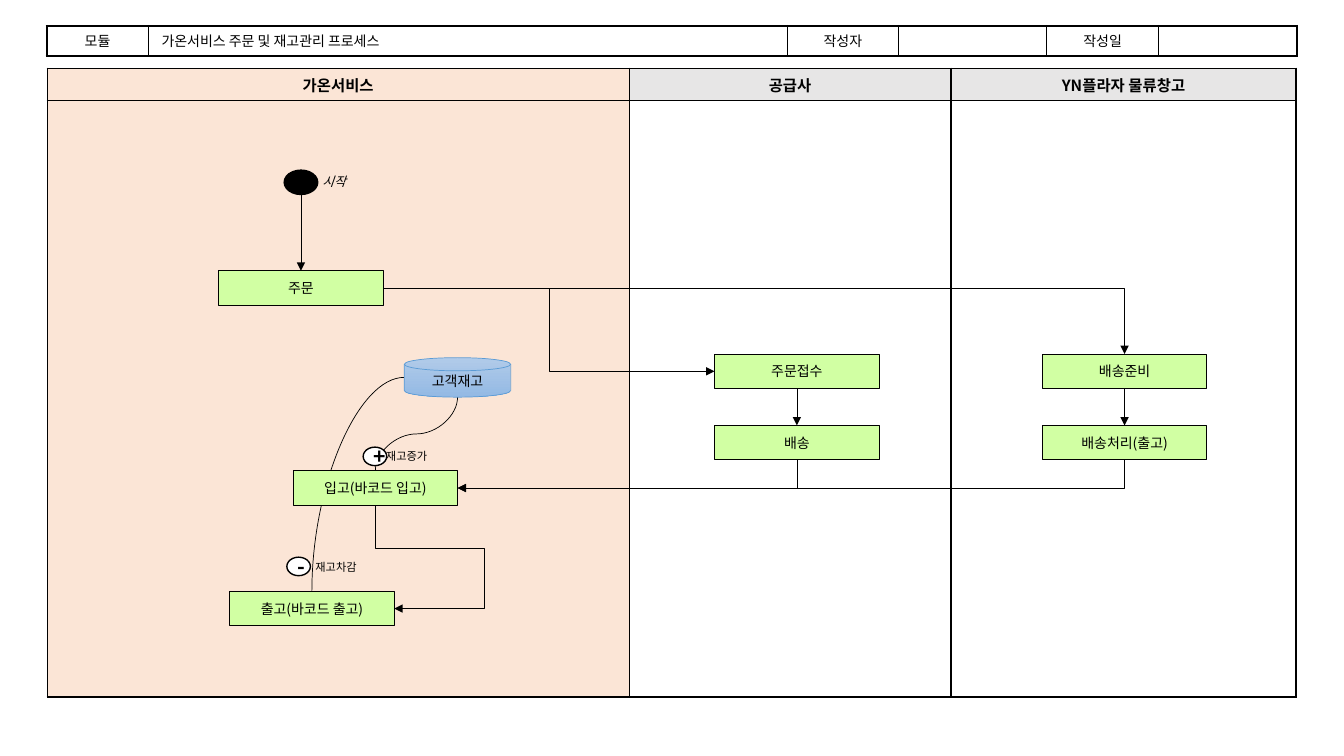
from dataclasses import dataclass

from lxml import etree
from pptx import Presentation
from pptx.dml.color import RGBColor
from pptx.enum.shapes import MSO_CONNECTOR, MSO_SHAPE
from pptx.enum.text import MSO_ANCHOR, PP_ALIGN
from pptx.oxml.ns import qn
from pptx.util import Pt

RECT, OVAL = MSO_SHAPE.RECTANGLE, MSO_SHAPE.FLOWCHART_CONNECTOR
DISK = MSO_SHAPE.FLOWCHART_MAGNETIC_DISK
LEFT, CENTER = PP_ALIGN.LEFT, PP_ALIGN.CENTER
TOP, MIDDLE = MSO_ANCHOR.TOP, MSO_ANCHOR.MIDDLE
STRAIGHT = MSO_CONNECTOR.STRAIGHT
N, W, S, E = range(4)
FACE = "Noto Sans CJK KR"
COLOR = {"ink": "000000", "paper": "FFFFFF", "peach": "FBE5D6", "gray": "E7E6E6",
         "green": "D1FFA3", "sky": "B1CBE9", "blue": "93B9E4", "rim": "5B9BD5"}


@dataclass
class Node:
    text: str
    x: float
    y: float
    w: float = 117.6
    h: float = 24.6
    form: int = RECT
    fill: str = "green"
    size: float = 10
    bold: bool = False
    line: float = 0.75

    def port(self, side: int) -> tuple[float, float]:
        """Give the middle of one side."""
        dx, dy = ((0.5, 0), (0, 0.5), (0.5, 1), (1, 0.5))[side]
        return self.x + dx * self.w, self.y + dy * self.h


@dataclass
class Route:
    start: str
    out: int
    end: str
    into: int
    form: str
    turn: int = 0
    flip: str = ""
    bends: tuple = ()
    arrow: bool = True


@dataclass
class Label:
    text: str
    x: float
    y: float
    w: float
    size: float
    italic: bool = False


@dataclass
class Cell:
    text: str = ""
    fill: str = "paper"
    align: int = CENTER
    edges: tuple = (1, 1, 1, 1)  # left, right, top, bottom


NODES = {
    "start": Node("", 202.5, 121, 25, 18.4, OVAL, "ink", line=0),
    "order": Node("주문", 156.2, 193.4),
    "ready": Node("배송준비", 744.5, 252.9),
    "accept": Node("주문접수", 510.4, 252.9),
    "stock": Node("고객재고", 288.8, 255.5, 76, 28.2, DISK, "sky", line=0.5),
    "issue": Node("출고(바코드 출고)", 164, 422.4),
    "minus": Node("-", 204.9, 398, 16.8, 13.2, OVAL, "paper", 15, True, 1),
    "intake": Node("입고(바코드 입고)", 209.3, 336.3),
    "deliver": Node("배송", 510.4, 303.9),
    "ship": Node("배송처리(출고)", 744.5, 303.9),
    "plus": Node("+", 259.4, 319.4, 16.8, 13.2, OVAL, "paper", 15, True, 1),
}
CURVES = [
    Route("issue", N, "stock", W, "curvedConnector2", 90, "HV", arrow=False),
    Route("intake", N, "stock", S, "curvedConnector3", 90, "HV", (0.5,), False),
]
ROUTES = [
    Route("start", S, "order", N, "line"),
    Route("accept", S, "deliver", N, "line"),
    Route("ready", S, "ship", N, "line"),
    Route("order", E, "accept", W, "bentConnector3", bends=(0.5,)),
    Route("order", E, "ready", N, "bentConnector2"),
    Route("deliver", S, "intake", E, "bentConnector2", 90),
    Route("ship", S, "intake", E, "bentConnector2", 90),
    Route("intake", S, "issue", E, "bentConnector4", 270, "H", (0.418, 5.798)),
]
LABELS = [Label("시작", 223.2, 121, 44.6, 9, True),
          Label("재고증가", 268.6, 317.5, 75.6, 8),
          Label("재고차감", 218.2, 396.7, 75.6, 8)]
INFO = [[Cell("모듈", edges=(1.5, 1, 1.5, 1)),
         Cell("가온서비스 주문 및 재고관리 프로세스", align=LEFT, edges=(1, 1, 1.5, 1)),
         Cell("작성자", edges=(1, 1, 1.5, 1)), Cell(edges=(1, 1, 1.5, 1)),
         Cell("작성일", edges=(1, 1, 1.5, 1)), Cell(edges=(1, 1.5, 1.5, 1))]]
LANES = [[Cell("가온서비스", "peach"), Cell("공급사", "gray"),
          Cell("YN플라자 물류창고", "gray")],
         [Cell(fill="peach"), Cell(), Cell()]]


def rgb(name: str) -> RGBColor:
    return RGBColor.from_string(COLOR[name])


def write(frame, text: str, size: float, align=CENTER, bold=False, italic=False) -> None:
    para = frame.paragraphs[0]
    para.text, para.alignment = text, align
    font = para.font
    font.size, font.bold, font.italic, font.name = Pt(size), bold, italic, FACE
    font.color.rgb = rgb("ink")
    props = para._p.pPr.find(qn("a:defRPr"))
    etree.SubElement(props, qn("a:ea"), typeface=FACE)


def edge(cell, widths: tuple) -> None:
    props = cell._tc.get_or_add_tcPr()
    for side, width in zip("LRTB", widths):
        line = etree.SubElement(props, qn("a:ln" + side), w=str(Pt(width)))
        fill = etree.SubElement(line, qn("a:solidFill"))
        etree.SubElement(fill, qn("a:srgbClr"), val=COLOR["ink"])


def grid(slide, rows: list, x: float, y: float, cols: list, tall: list,
         size: float, bold: bool, anchor) -> None:
    table = slide.shapes.add_table(len(rows), len(cols), Pt(x), Pt(y),
                                   Pt(sum(cols)), Pt(sum(tall))).table
    table.first_row = table.horz_banding = False
    for col, width in zip(table.columns, cols):
        col.width = Pt(width)
    for row, height, data in zip(table.rows, tall, rows):
        row.height = Pt(height)
        for cell, item in zip(row.cells, data):
            cell.margin_left = cell.margin_right = Pt(9.4)
            cell.margin_top = cell.margin_bottom = Pt(3.6)
            cell.vertical_anchor = anchor
            write(cell.text_frame, item.text, size, item.align, bold)
            edge(cell, item.edges)
            cell.fill.solid()
            cell.fill.fore_color.rgb = rgb(item.fill)


def draw(slide, node: Node):
    shape = slide.shapes.add_shape(node.form, Pt(node.x), Pt(node.y), Pt(node.w), Pt(node.h))
    shape.shadow.inherit = False
    if node.form == DISK:
        shape.fill.gradient()
        shape.fill.gradient_angle = 270
        for stop, name in zip(shape.fill.gradient_stops, ("sky", "blue")):
            stop.color.rgb = rgb(name)
    else:
        shape.fill.solid()
        shape.fill.fore_color.rgb = rgb(node.fill)
    if node.line:
        shape.line.width = Pt(node.line)
        shape.line.color.rgb = rgb("rim" if node.form == DISK else "ink")
    else:
        shape.line.fill.background()
    if node.text:
        frame = shape.text_frame
        frame.word_wrap, frame.vertical_anchor = node.form != RECT, MIDDLE
        write(frame, node.text, node.size, bold=node.bold)
    return shape


def link(slide, route: Route, shapes: dict) -> None:
    """Draw a route; a turned one keeps its box as it was before the turn."""
    (ax, ay), (bx, by) = NODES[route.start].port(route.out), NODES[route.end].port(route.into)
    wire = slide.shapes.add_connector(STRAIGHT, Pt(ax), Pt(ay), Pt(bx), Pt(by))
    wire.line.width = Pt(0.5)
    wire.line.color.rgb = rgb("ink")
    props = wire._element.spPr
    if route.arrow:
        etree.SubElement(props.find(qn("a:ln")), qn("a:tailEnd"), type="triangle")
    etree.SubElement(props, qn("a:effectLst"))
    if route.form == "line":
        if NODES[route.start].form == RECT:
            wire.begin_connect(shapes[route.start], route.out)
        wire.end_connect(shapes[route.end], route.into)
        return
    w, h = abs(bx - ax), abs(by - ay)
    if route.turn:
        w, h = h, w
    wire.left, wire.top = Pt((ax + bx - w) / 2), Pt((ay + by - h) / 2)
    wire.width, wire.height = Pt(w), Pt(h)
    place = props.find(qn("a:xfrm"))
    for axis in "HV":
        place.set("flip" + axis, str(int(axis in route.flip)))
    place.set("rot", str(route.turn * 60000))
    form = props.find(qn("a:prstGeom"))
    form.set("prst", route.form)
    for i, bend in enumerate(route.bends, 1):
        etree.SubElement(form.find(qn("a:avLst")), qn("a:gd"), name=f"adj{i}",
                         fmla=f"val {round(bend * 100000)}")


def main() -> None:
    deck = Presentation()
    deck.slide_width, deck.slide_height = Pt(960), Pt(540)
    slide = deck.slides.add_slide(deck.slide_layouts[6])
    grid(slide, INFO, 33.3, 18.4, [72.7, 456.5, 79.2, 106, 79.9, 99], [21.4], 10, False, TOP)
    grid(slide, LANES, 33.8, 48.8, [415.6, 230, 246.4], [22.7, 425.8], 11, True, MIDDLE)
    for route in CURVES:
        link(slide, route, {})
    shapes = {name: draw(slide, node) for name, node in NODES.items()}
    for route in ROUTES:
        link(slide, route, shapes)
    for label in LABELS:
        box = slide.shapes.add_textbox(Pt(label.x), Pt(label.y), Pt(label.w), Pt(17.6))
        box.text_frame.word_wrap = True
        write(box.text_frame, label.text, label.size, LEFT, italic=label.italic)
    deck.save("out.pptx")


if __name__ == "__main__":
    main()
